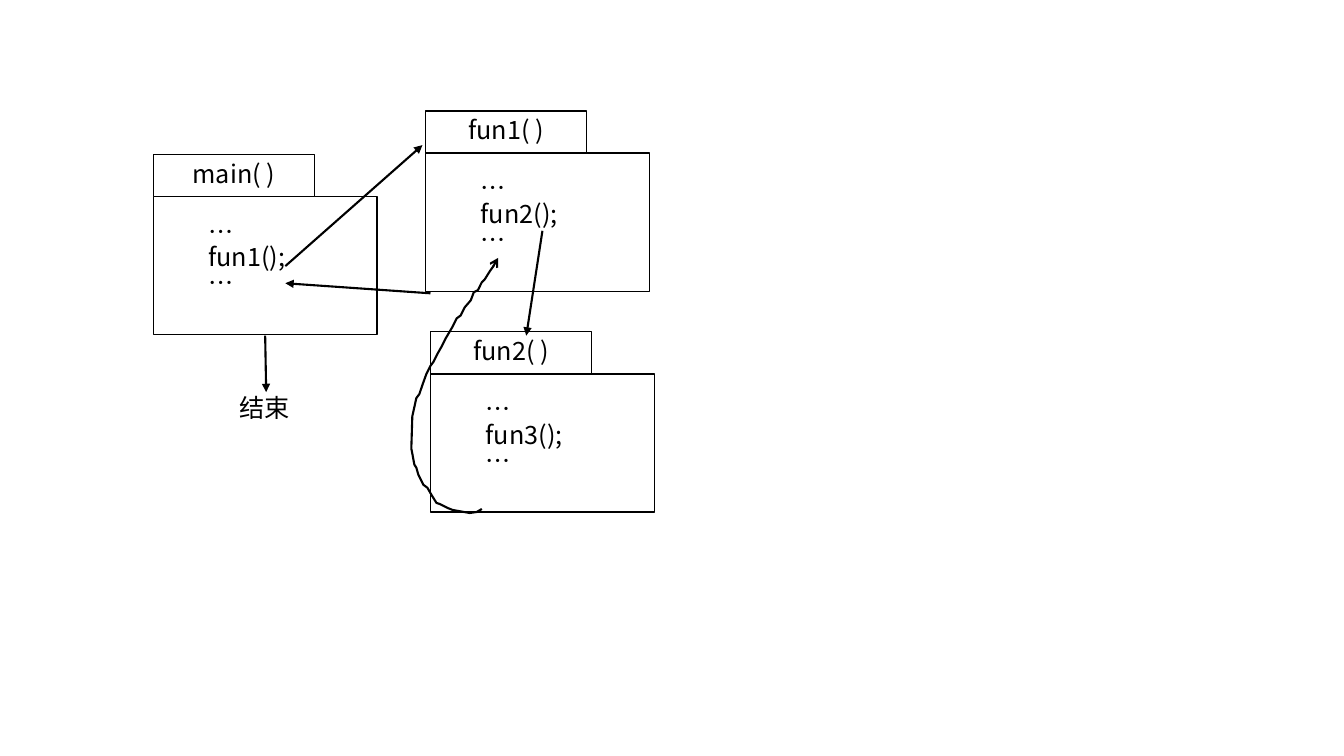
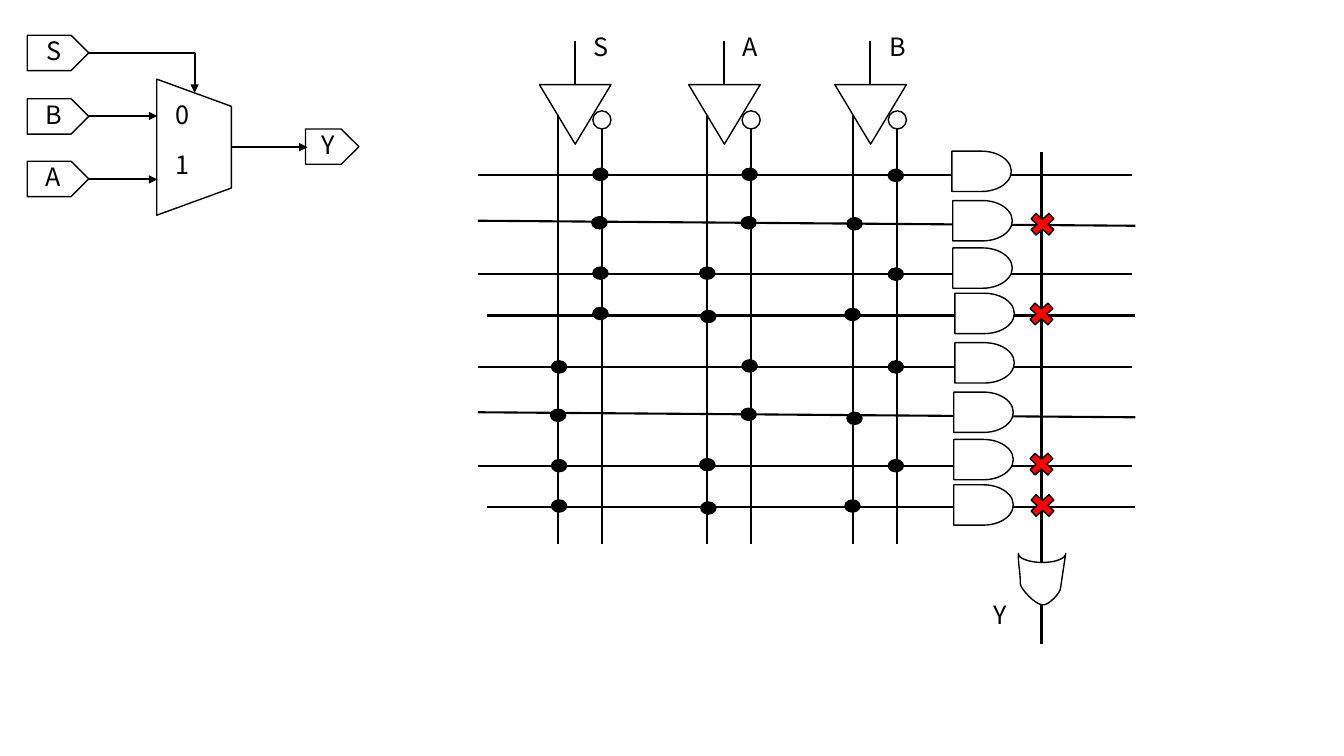
"""Build two diagram slides: nested function calls and a multiplexer in programmable logic."""
from dataclasses import dataclass
from typing import Optional

from lxml.etree import SubElement
from pptx import Presentation
from pptx.dml.color import RGBColor
from pptx.enum.shapes import MSO_CONNECTOR, MSO_SHAPE
from pptx.enum.text import MSO_ANCHOR, MSO_AUTO_SIZE, PP_ALIGN
from pptx.oxml.ns import qn
from pptx.util import Inches, Pt

COLORS = {"ink": "000000", "paper": "FFFFFF", "cross": "FF0000"}
FONT = "Noto Sans CJK SC"
TEXT_SIZE = 18
LINE_SPACING = 0.85

Point = tuple[float, float]


@dataclass(frozen=True)
class Function:
    name: str
    call: str
    left: float
    top: float


@dataclass(frozen=True)
class Port:
    name: str
    left: float
    top: float
    width: float


@dataclass(frozen=True)
class Buffer:
    name: str
    x: float


@dataclass(frozen=True)
class Term:
    start: Point
    end: Point
    gate: Point
    dots: tuple[Point, Point, Point]
    cross: Optional[Point] = None


FUNCTIONS = (
    Function("main( )", "fun1();", 1.52, 1.53),
    Function("fun1( )", "fun2();", 4.22, 1.1),
    Function("fun2( )", "fun3();", 4.27, 3.29),
)
CALL_ARROWS = (
    ((2.83, 2.64), (4.19, 1.44)),
    ((5.38, 2.29), (5.22, 3.33)),
    ((4.27, 2.91), (2.83, 2.81)),
    ((2.63, 3.33), (2.64, 3.89)),
)
RETURN_PATH = (
    (4.78, 5.05), (4.73, 5.08), (4.66, 5.09), (4.49, 5.06), (4.44, 5.04),
    (4.4, 5.02), (4.36, 5), (4.33, 4.99), (4.28, 4.91), (4.24, 4.84),
    (4.2, 4.81), (4.15, 4.71), (4.13, 4.64), (4.11, 4.61), (4.09, 4.5),
    (4.08, 4.45), (4.09, 4.13), (4.11, 4.04), (4.13, 3.95), (4.16, 3.91),
    (4.19, 3.82), (4.23, 3.71), (4.27, 3.63), (4.3, 3.59), (4.34, 3.51),
    (4.38, 3.44), (4.42, 3.36), (4.49, 3.24), (4.51, 3.2), (4.53, 3.16),
    (4.57, 3.13), (4.61, 3.05), (4.67, 2.98), (4.7, 2.9), (4.74, 2.88),
    (4.78, 2.8), (4.81, 2.77), (4.86, 2.69), (4.91, 2.62), (4.94, 2.56),
)
PORTS = (
    Port("S", 0.27, 0.35, 0.61),
    Port("B", 0.27, 0.98, 0.61),
    Port("A", 0.27, 1.6, 0.61),
    Port("Y", 3.03, 1.28, 0.53),
)
MUX_ARROWS = (
    ((0.88, 1.15), (1.56, 1.15)),
    ((0.88, 1.78), (1.56, 1.78)),
    ((2.3, 1.46), (3.05, 1.46)),
)
BUFFERS = (Buffer("S", 5.7), Buffer("A", 7.18), Buffer("B", 8.63))
TERMS = (
    Term((4.74, 1.74), (11.23, 1.74), (9.44, 1.5),
         ((5.88, 1.67), (7.36, 1.67), (8.81, 1.68))),
    Term((4.74, 2.19), (11.26, 2.24), (9.45, 1.99),
         ((5.87, 2.15), (7.35, 2.15), (8.4, 2.16)), (10.17, 2.07)),
    Term((4.74, 2.72), (11.23, 2.72), (9.45, 2.46),
         ((5.88, 2.65), (6.94, 2.65), (8.81, 2.66))),
    Term((4.83, 3.13), (11.26, 3.13), (9.47, 2.91),
         ((5.88, 3.05), (6.95, 3.08), (8.38, 3.06)), (10.16, 2.96)),
    Term((4.74, 3.64), (11.23, 3.64), (9.47, 3.4),
         ((5.47, 3.58), (7.36, 3.57), (8.81, 3.58))),
    Term((4.74, 4.09), (11.26, 4.14), (9.46, 3.89),
         ((5.46, 4.06), (7.35, 4.05), (8.4, 4.09))),
    Term((4.74, 4.62), (11.23, 4.62), (9.46, 4.36),
         ((5.47, 4.56), (6.94, 4.55), (8.81, 4.56)), (10.16, 4.45)),
    Term((4.83, 5.03), (11.26, 5.03), (9.46, 4.81),
         ((5.47, 4.96), (6.95, 4.98), (8.38, 4.96)), (10.17, 4.86)),
)
OR_CURVES = (
    ((10.12, 5.79), (10.12, 5.65), (10.1, 5.63), (10.1, 5.49)),
    ((10.1, 5.49), (10.1, 5.54), (10.21, 5.58), (10.34, 5.58)),
    ((10.34, 5.58), (10.47, 5.58), (10.57, 5.54), (10.57, 5.49)),
    ((10.52, 5.83), (10.52, 5.88), (10.4, 6.01), (10.34, 6)),
    ((10.34, 6), (10.27, 6), (10.12, 5.84), (10.12, 5.79)),
)


def rgb(name: str) -> RGBColor:
    """Return a named colour."""
    return RGBColor.from_string(COLORS[name])


def style_line(shape, width: float, head: Optional[str] = None) -> None:
    """Set an ink line and, if asked, an arrowhead at its end."""
    shape.line.color.rgb = rgb("ink")
    shape.line.width = Pt(width)
    if head:
        ln = shape._element.spPr.find(qn("a:ln"))
        SubElement(ln, qn("a:tailEnd")).set("type", head)


def write(tf, lines: tuple[str, ...], align: PP_ALIGN) -> None:
    """Write one paragraph for each line."""
    for i, text in enumerate(lines):
        p = tf.paragraphs[0] if i == 0 else tf.add_paragraph()
        p.alignment = align
        p.line_spacing = LINE_SPACING
        r = p.add_run()
        r.text = text
        r.font.size = Pt(TEXT_SIZE)
        r.font.name = FONT
        r.font.color.rgb = rgb("ink")
        SubElement(r._r.get_or_add_rPr(), qn("a:ea")).set("typeface", FONT)


def add_label(s, left: float, top: float, width: float, *lines: str) -> None:
    """Add a text box that grows with its lines."""
    height = 0.1 + 0.3 * len(lines)
    tb = s.shapes.add_textbox(Inches(left), Inches(top), Inches(width), Inches(height))
    tf = tb.text_frame
    tf.word_wrap = True
    tf.auto_size = MSO_AUTO_SIZE.SHAPE_TO_FIT_TEXT
    write(tf, lines, PP_ALIGN.LEFT)


def add_box(s, kind: MSO_SHAPE, left: float, top: float, width: float,
            height: float, fill: str = "paper", text: str = ""):
    """Add an outlined preset shape with optional centred text."""
    sp = s.shapes.add_shape(kind, Inches(left), Inches(top), Inches(width), Inches(height))
    sp.shadow.inherit = False
    sp.fill.solid()
    sp.fill.fore_color.rgb = rgb(fill)
    style_line(sp, 1)
    if text:
        sp.text_frame.vertical_anchor = MSO_ANCHOR.MIDDLE
        write(sp.text_frame, (text,), PP_ALIGN.CENTER)
    return sp


def add_wire(s, start: Point, end: Point, head: Optional[str] = None,
             kind: MSO_CONNECTOR = MSO_CONNECTOR.STRAIGHT):
    """Add a connector without a shadow."""
    cxn = s.shapes.add_connector(kind, *(Inches(v) for v in (*start, *end)))
    style_line(cxn, 1.5, head)
    SubElement(cxn._element.spPr, qn("a:effectLst"))
    return cxn


def add_outline(s, points: tuple[Point, ...], close: bool):
    """Add a freeform through the points."""
    pts = [(Inches(x), Inches(y)) for x, y in points]
    builder = s.shapes.build_freeform(*pts[0])
    builder.add_line_segments(pts[1:], close=close)
    sp = builder.convert_to_shape()
    sp.shadow.inherit = False
    return sp


def bezier(curve: tuple[Point, ...], steps: int = 10) -> list[Point]:
    """Sample a cubic curve."""
    points = []
    for i in range(steps + 1):
        t = i / steps
        weights = ((1 - t) ** 3, 3 * t * (1 - t) ** 2, 3 * t * t * (1 - t), t ** 3)
        points.append(tuple(sum(w * c[k] for w, c in zip(weights, curve)) for k in (0, 1)))
    return points


def draw_function(s, f: Function) -> None:
    """Draw a function body with its name tab and code."""
    add_box(s, MSO_SHAPE.RECTANGLE, f.left, f.top + 0.42, 2.22, 1.37)
    add_box(s, MSO_SHAPE.RECTANGLE, f.left, f.top, 1.6, 0.42, text=f.name)
    add_label(s, f.left + 0.45, f.top + 0.61, 2.03, "…", f.call, "…")


def draw_buffer(s, b: Buffer) -> None:
    """Draw an input buffer with its true and inverted bus lines."""
    add_wire(s, (b.x, 0.41), (b.x, 0.84))
    triangle = add_box(s, MSO_SHAPE.FLOWCHART_EXTRACT, b.x - 0.35, 0.84, 0.71, 0.59)
    triangle._element.spPr.find(qn("a:xfrm")).set("flipV", "1")
    add_box(s, MSO_SHAPE.OVAL, b.x + 0.18, 1.1, 0.18, 0.18)
    for dx, top in ((-0.17, 1.14), (0.27, 1.28)):
        add_wire(s, (b.x + dx, top), (b.x + dx, 5.4))
    add_label(s, b.x + 0.09, 0.31, 0.5, b.name)


def draw_term(s, t: Term) -> None:
    """Draw a product line with its AND gate and fixed connections."""
    add_wire(s, t.start, t.end)
    add_box(s, MSO_SHAPE.FLOWCHART_DELAY, *t.gate, 0.59, 0.4)
    for dot in t.dots:
        add_box(s, MSO_SHAPE.OVAL, *dot, 0.15, 0.12, "ink")


def draw_calls(s) -> None:
    """Draw the nested function calls."""
    for f in FUNCTIONS:
        draw_function(s, f)
    for start, end in CALL_ARROWS:
        add_wire(s, start, end, "triangle")
    back = add_outline(s, RETURN_PATH, close=False)
    back.fill.background()
    style_line(back, 1.5, "arrow")
    add_label(s, 2.28, 3.89, 1.16, "结束")


def draw_mux(s) -> None:
    """Draw the two-way multiplexer and its ports."""
    for port in PORTS:
        add_box(s, MSO_SHAPE.PENTAGON, port.left, port.top, port.width, 0.35, text=port.name)
    body = add_box(s, MSO_SHAPE.FLOWCHART_MANUAL_OPERATION, 1.25, 1.09, 1.35, 0.74)
    body.rotation = 270
    for start, end in MUX_ARROWS:
        add_wire(s, start, end, "triangle")
    select = add_wire(s, (0.88, 0.53), (1.93, 0.92), "triangle", MSO_CONNECTOR.ELBOW)
    select._element.spPr.find(qn("a:prstGeom")).set("prst", "bentConnector2")
    for digit, top in (("0", 0.98), ("1", 1.48)):
        add_label(s, 1.64, top, 0.29, digit)


def draw_array(s) -> None:
    """Draw the AND array and the programmed OR gate."""
    for b in BUFFERS:
        draw_buffer(s, b)
    for t in TERMS:
        draw_term(s, t)
    add_wire(s, (10.33, 1.51), (10.33, 6.39))
    points = tuple(pt for curve in OR_CURVES for pt in bezier(curve))
    gate = add_outline(s, points, close=True)
    gate.fill.solid()
    gate.fill.fore_color.rgb = rgb("paper")
    style_line(gate, 1)
    for t in TERMS:
        if t.cross:
            add_box(s, MSO_SHAPE.MATH_MULTIPLY, *t.cross, 0.34, 0.31, "cross")
    add_label(s, 9.76, 5.94, 0.47, "Y")


def main() -> None:
    """Build and save both slides."""
    prs = Presentation()
    prs.slide_width, prs.slide_height = Inches(13.33), Inches(7.5)
    for drawings in ((draw_calls,), (draw_mux, draw_array)):
        s = prs.slides.add_slide(prs.slide_layouts[6])
        for draw in drawings:
            draw(s)
    prs.save("out.pptx")


main()
